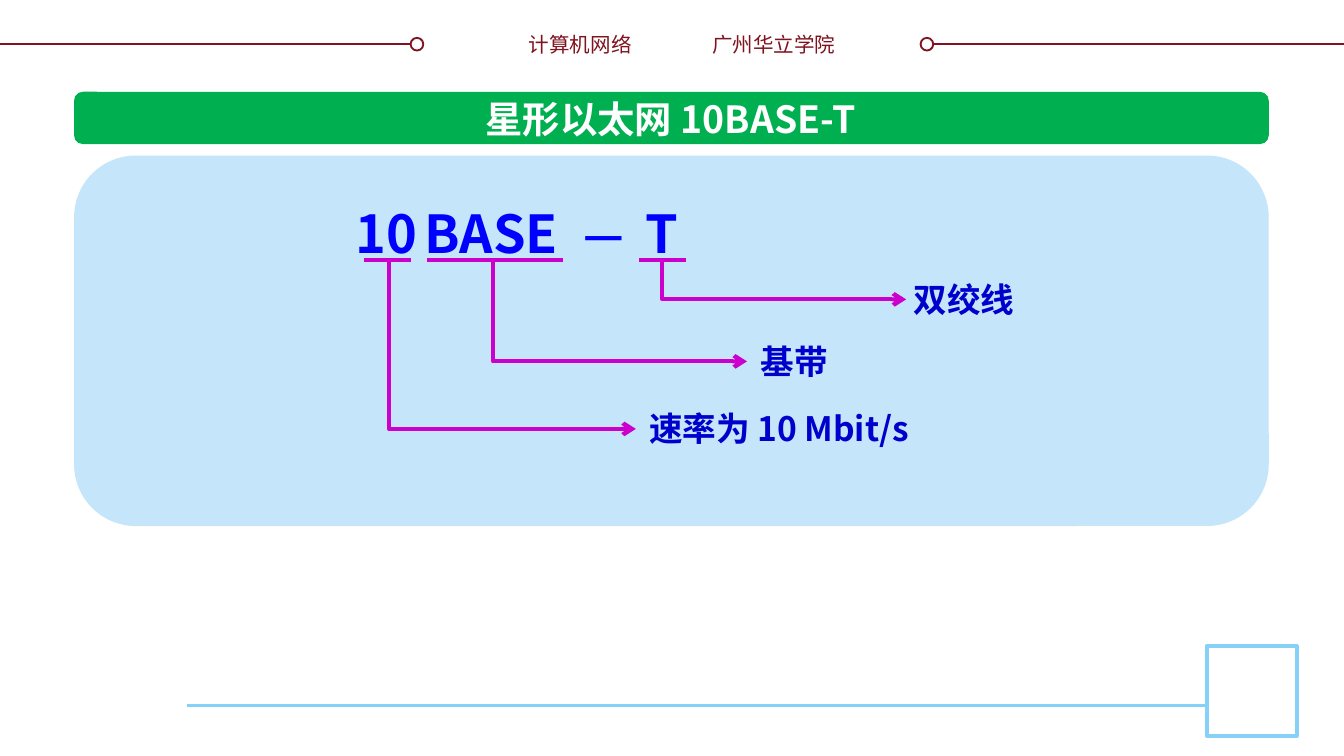
from pptx import Presentation
from pptx.dml.color import RGBColor as RGB
from pptx.enum.shapes import MSO_CONNECTOR as LINK, MSO_SHAPE as SHAPE
from pptx.enum.text import MSO_ANCHOR as ANCHOR, MSO_AUTO_SIZE as FIT, PP_ALIGN as ALIGN
from pptx.oxml.ns import qn
from pptx.util import Pt
from lxml.etree import SubElement

COLORS = {
    "white": "FFFFFF",
    "maroon": "7F131F",
    "sky": "85D1F7",
    "panel": "C5E5FB",
    "banner": "00B050",
    "term": "0000FF",
    "label": "0000CC",
    "branch": "CC00CC",
}
WIDTH, HEIGHT = 720, 405


class SlideKit:
    font_name = "Noto Sans CJK SC"

    def __init__(self, slide):
        self.slide = slide

    def color(self, name):
        return RGB.from_string(COLORS[name])

    def text(self, words, box, size, color, bold=True, align=ALIGN.LEFT, wrap=False):
        frame = self.slide.shapes.add_textbox(*map(Pt, box)).text_frame
        layout = {"word_wrap": wrap, "auto_size": FIT.SHAPE_TO_FIT_TEXT,
                  "vertical_anchor": ANCHOR.MIDDLE}
        for key, value in layout.items():
            setattr(frame, key, value)
        paragraph = frame.paragraphs[0]
        paragraph.alignment = align
        run = paragraph.add_run()
        run.text = words
        for key, value in {"name": self.font_name, "size": Pt(size), "bold": bold}.items():
            setattr(run.font, key, value)
        run.font.color.rgb = self.color(color)
        # East Asian typeface for the Chinese characters
        SubElement(run.font._element, qn("a:ea"), typeface=self.font_name)

    def shape(self, kind, box, fill, line=None, weight=1, corner=None):
        shape = self.slide.shapes.add_shape(kind, *map(Pt, box))
        shape.shadow.inherit = False
        shape.fill.solid()
        shape.fill.fore_color.rgb = self.color(fill)
        if line:
            shape.line.color.rgb = self.color(line)
            shape.line.width = Pt(weight)
        else:
            shape.line.fill.background()
        if corner is not None:
            shape.adjustments[0] = corner

    def line(self, start, end, color, weight, kind=LINK.STRAIGHT):
        link = self.slide.shapes.add_connector(kind, *map(Pt, (*start, *end)))
        link.line.color.rgb = self.color(color)
        link.line.width = Pt(weight)
        SubElement(link._element.spPr, qn("a:effectLst"))
        return link

    def bent_arrow(self, start, end, color, weight):
        """Go straight down from start, then right to the arrowhead at end."""
        (x1, y1), (x2, y2) = start, end
        mid_x, mid_y = (x1 + x2) / 2, (y1 + y2) / 2
        half_w, half_h = (y2 - y1) / 2, (x2 - x1) / 2
        # Drawn flipped, then turned by 270 degrees about its centre
        link = self.line((mid_x + half_w, mid_y - half_h),
                         (mid_x - half_w, mid_y + half_h), color, weight, LINK.ELBOW)
        properties = link._element.spPr
        properties.find(qn("a:xfrm")).set("rot", str(270 * 60000))
        properties.find(qn("a:prstGeom")).set("prst", "bentConnector2")
        SubElement(properties.find(qn("a:ln")), qn("a:tailEnd"), type="arrow")


def main():
    deck = Presentation()
    deck.slide_width, deck.slide_height = Pt(WIDTH), Pt(HEIGHT)
    kit = SlideKit(deck.slides.add_slide(deck.slide_layouts[6]))

    # Header: a rule from each edge ending in a ring, with the titles between
    rule_y, rule_length, ring = 23.7, 226.8, 6.8
    for edge, tip, ring_left in ((0, rule_length, rule_length - ring),
                                 (WIDTH, WIDTH - rule_length, WIDTH - rule_length)):
        kit.line((min(edge, tip), rule_y), (max(edge, tip), rule_y), "maroon", 1)
        kit.shape(SHAPE.OVAL, (ring_left, rule_y - ring / 2, ring, ring),
                  "white", "maroon")
    kit.text("计算机网络", (275.8, 13, 69.8, 20.9), 11, "maroon", False, ALIGN.RIGHT)
    kit.text("广州华立学院", (374.4, 13, 83.5, 20.9), 11, "maroon", False, wrap=True)

    # Footer: rule and page square
    kit.line((100, 378), (646.5, 378), "sky", 1.5)
    kit.shape(SHAPE.RECTANGLE, (646.5, 346, 48.2, 48.2), "white", "sky", 2)

    # Panel and title banner
    kit.shape(SHAPE.ROUNDED_RECTANGLE, (39.7, 83.3, 640, 198.5), "panel")
    kit.shape(SHAPE.ROUNDED_RECTANGLE, (39.7, 49.2, 640, 28), "banner", corner=0.167)
    kit.text("星形以太网 10BASE-T", (249.1, 47.5, 220.3, 31.7), 20, "white",
             align=ALIGN.CENTER)

    # Name parts: term, left, width, alignment, underline ends,
    # branch x, arrow tip, meaning, meaning left, meaning width
    term_top, underline_y = 104.4, 139.5
    parts = (
        ("10", 183.6, 49.7, ALIGN.LEFT, (195, 220.2),
         208.3, (340.6, 229.8), "速率为 10 Mbit/s", 340.6, 169.2),
        ("BASE", 220.3, 88.6, ALIGN.LEFT, (228.8, 301.6),
         264.2, (400.2, 193.6), "基带", 400.3, 51.1),
        ("T", 338.4, 32.4, ALIGN.CENTER, (342.3, 367.5),
         354.8, (485.4, 160.4), "双绞线", 482.4, 69.1),
    )
    for (term, left, width, align, (line_left, line_right),
         branch_x, tip, meaning, meaning_left, meaning_width) in parts:
        kit.text(term, (left, term_top, width, 41), 28, "term", align=align)
        kit.bent_arrow((branch_x, underline_y), tip, "branch", 2.25)
        kit.text(meaning, (meaning_left, tip[1] - 14.6, meaning_width, 28.8), 18, "label")
        kit.line((line_left, underline_y), (line_right, underline_y), "branch", 2.25)
    kit.text("—", (305.3, 107.3, 27.4, 36), 24, "term", wrap=True)

    deck.save("out.pptx")


if __name__ == "__main__":
    main()
